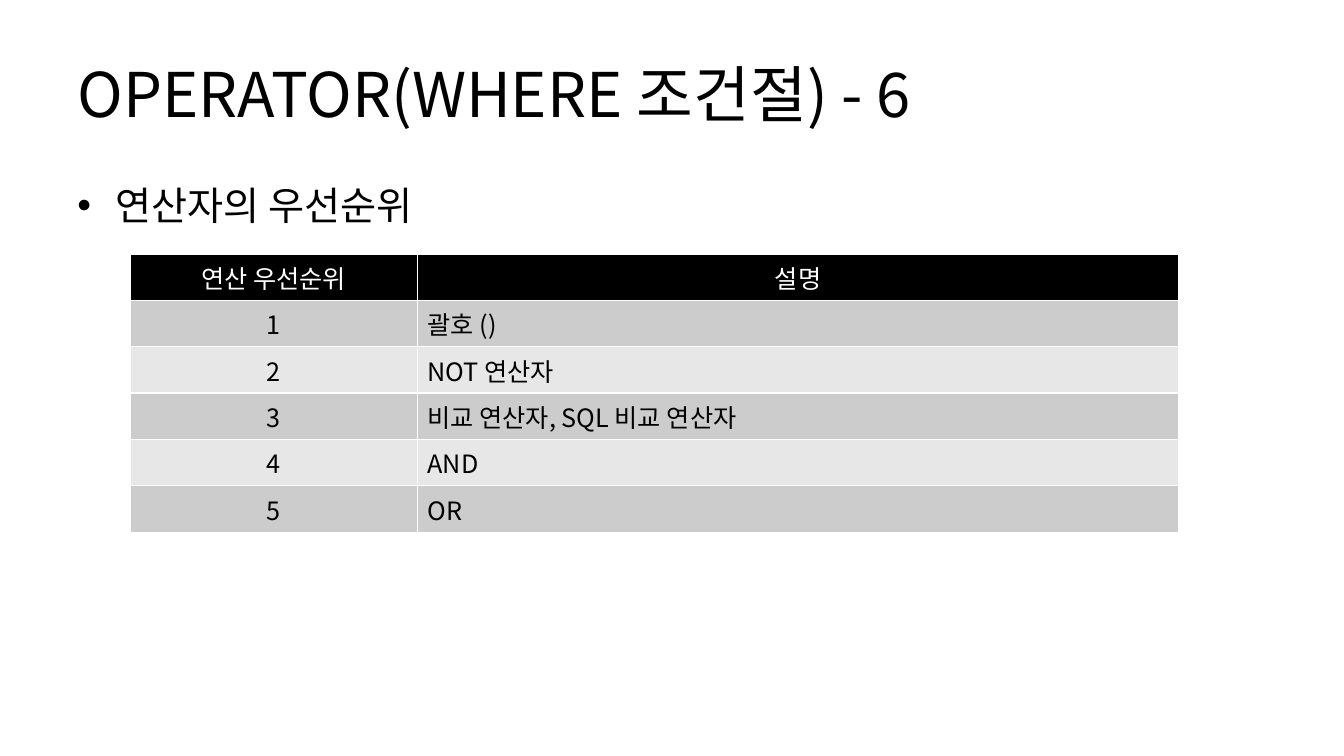
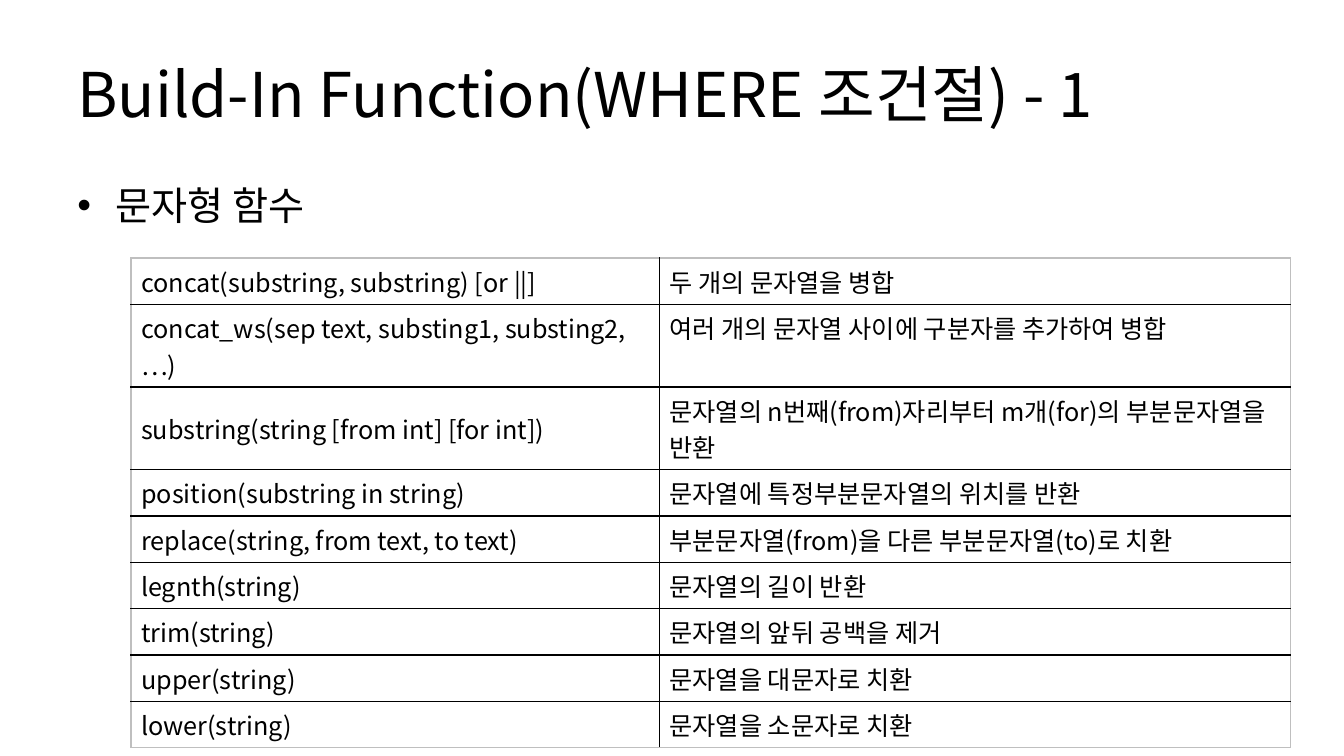
from lxml.etree import SubElement
from pptx import Presentation
from pptx.dml.color import RGBColor
from pptx.enum.text import MSO_ANCHOR, PP_ALIGN
from pptx.oxml import parse_xml
from pptx.oxml.ns import nsdecls, qn
from pptx.util import Inches, Pt

FONT = "Noto Sans CJK KR"
BLACK = RGBColor(0x00, 0x00, 0x00)
WHITE = RGBColor(0xFF, 0xFF, 0xFF)
DARK_BAND = RGBColor(0xCC, 0xCC, 0xCC)
LIGHT_BAND = RGBColor(0xE7, 0xE7, 0xE7)
OUTLINE = RGBColor(0xBF, 0xBF, 0xBF)
ROW_HEIGHT = 0.46
TWO_LINE_HEIGHT = 0.82

PRIORITIES = [
    ("연산 우선순위", "설명"),
    ("1", "괄호 ()"),
    ("2", "NOT 연산자"),
    ("3", "비교 연산자, SQL 비교 연산자"),
    ("4", "AND"),
    ("5", "OR"),
]
STRING_FUNCTIONS = [
    ("concat(substring, substring) [or ||]", "두 개의 문자열을 병합"),
    ("concat_ws(sep text, substing1, substing2, …)",
     "여러 개의 문자열 사이에 구분자를 추가하여 병합"),
    ("substring(string [from int] [for int])",
     "문자열의 n번째(from)자리부터 m개(for)의 부분문자열을 반환"),
    ("position(substring in string)", "문자열에 특정부분문자열의 위치를 반환"),
    ("replace(string, from text, to text)", "부분문자열(from)을 다른 부분문자열(to)로 치환"),
    ("legnth(string)", "문자열의 길이 반환"),
    ("trim(string)", "문자열의 앞뒤 공백을 제거"),
    ("upper(string)", "문자열을 대문자로 치환"),
    ("lower(string)", "문자열을 소문자로 치환"),
]
SLIDES = [
    dict(title="OPERATOR(WHERE 조건절) - 6", topic="연산자의 우선순위", rows=PRIORITIES,
         left=1.29, top=2.52, widths=(2.85, 7.55), banded=True, two_line_rows=()),
    dict(title="Build-In Function(WHERE 조건절) - 1", topic="문자형 함수",
         rows=STRING_FUNCTIONS, left=1.3, top=2.56, widths=(5.24, 6.26), banded=False,
         two_line_rows=(1, 2)),
]


def write(frame, text, size=18, color=BLACK, align=PP_ALIGN.LEFT, bullet=False):
    """Put one formatted paragraph into a text frame."""
    frame.word_wrap = True
    paragraph = frame.paragraphs[0]
    paragraph.alignment = align
    run = paragraph.add_run()
    run.text = text
    run.font.size = Pt(size)
    run.font.name = FONT
    run.font.color.rgb = color
    if bullet:
        paragraph.space_before = Pt(size * 0.2)
        properties = paragraph._p.get_or_add_pPr()
        properties.set("marL", str(Inches(0.38)))
        properties.set("indent", str(Inches(-0.38)))
        SubElement(properties, qn("a:buFont"), typeface="Arial")
        SubElement(properties, qn("a:buChar"), char="•")


def set_borders(cell, colors):
    """Draw the left, right, top and bottom borders of a cell in that order."""
    for position, (side, color) in enumerate(zip("LRTB", colors)):
        cell._tc.get_or_add_tcPr().insert(position, parse_xml(
            f'<a:ln{side} {nsdecls("a")} w="{Pt(1)}"><a:solidFill>'
            f'<a:srgbClr val="{color}"/></a:solidFill></a:ln{side}>'))


deck = Presentation()
deck.slide_width = Inches(13.33)
deck.slide_height = Inches(7.5)

for content in SLIDES:
    slide = deck.slides.add_slide(deck.slide_layouts[6])
    title = slide.shapes.add_textbox(Inches(0.67), Inches(0.3), Inches(12), Inches(1.25))
    title.text_frame.vertical_anchor = MSO_ANCHOR.MIDDLE
    write(title.text_frame, content["title"], size=44)
    topic = slide.shapes.add_textbox(Inches(0.67), Inches(1.75), Inches(12), Inches(4.95))
    write(topic.text_frame, content["topic"], size=28, bullet=True)

    rows, widths, banded = content["rows"], content["widths"], content["banded"]
    heights = [TWO_LINE_HEIGHT if r in content["two_line_rows"] else ROW_HEIGHT
               for r in range(len(rows))]
    table = slide.shapes.add_table(
        len(rows), len(widths), Inches(content["left"]), Inches(content["top"]),
        Inches(sum(widths)), Inches(sum(heights))).table
    table.first_row = banded
    table.horz_banding = banded
    for column, width in zip(table.columns, widths):
        column.width = Inches(width)

    for r, row in enumerate(rows):
        table.rows[r].height = Inches(heights[r])
        for c, text in enumerate(row):
            cell = table.cell(r, c)
            header = banded and r == 0
            centered = header or (banded and c == 0)
            write(cell.text_frame, text, color=WHITE if header else BLACK,
                  align=PP_ALIGN.CENTER if centered else PP_ALIGN.LEFT)
            cell.fill.solid()
            if banded:
                band = DARK_BAND if r % 2 else LIGHT_BAND
                cell.fill.fore_color.rgb = BLACK if header else band
                set_borders(cell, [WHITE] * 4)
            else:
                cell.fill.fore_color.rgb = WHITE
                if c == 0:
                    cell.vertical_anchor = MSO_ANCHOR.MIDDLE
                outer = (c == 0, c == len(widths) - 1, r == 0, r == len(rows) - 1)
                set_borders(cell, [OUTLINE if edge else BLACK for edge in outer])

deck.save("out.pptx")
